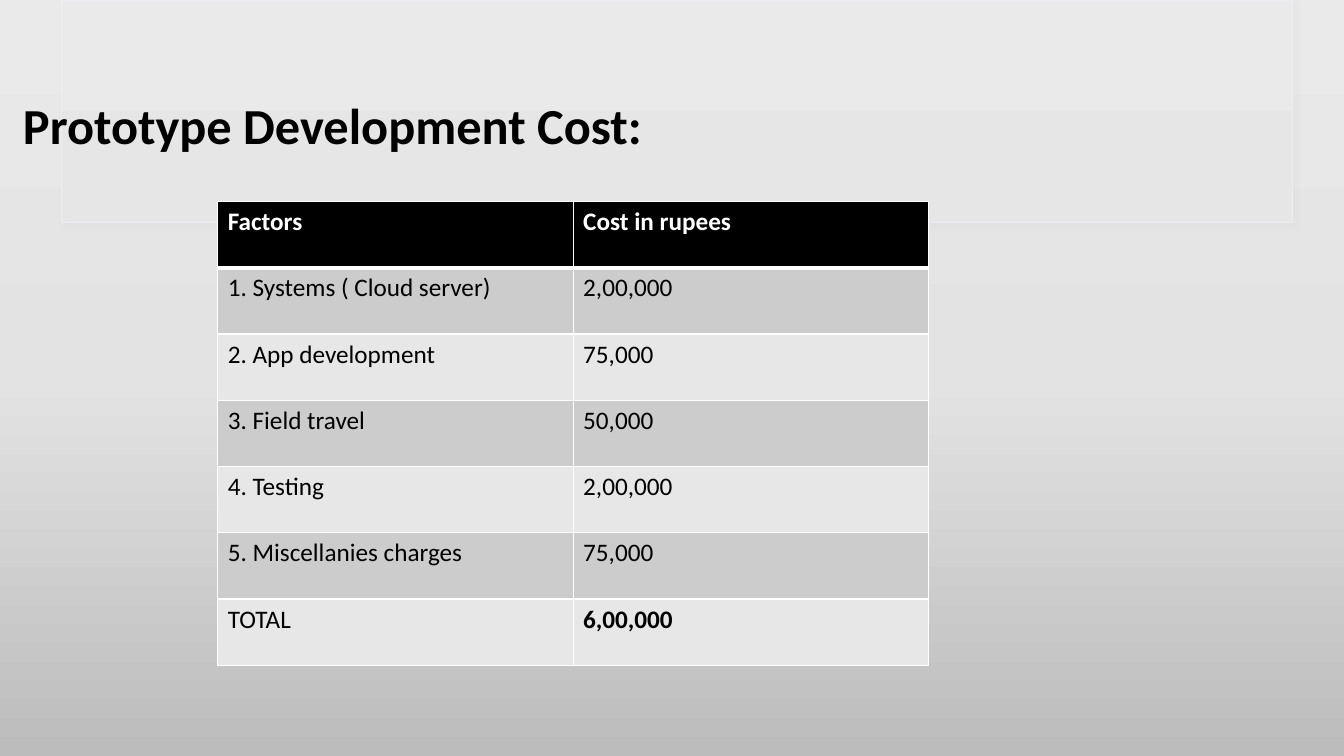
import pptx
import pptx.dml.color
import pptx.enum.shapes
import pptx.enum.text
import pptx.oxml
import pptx.oxml.ns
import pptx.util
from pptx.util import Inches

FONT = "Calibri"
COSTS = [
    ("Factors", "Cost in rupees"),
    ("1. Systems ( Cloud server)", "2,00,000"),
    ("2. App development", "75,000"),
    ("3. Field travel", "50,000"),
    ("4. Testing", "2,00,000"),
    ("5. Miscellanies charges", "75,000"),
    ("TOTAL", "6,00,000"),
]


def color(value):
    """Return an RGB colour from a hex string."""
    return pptx.dml.color.RGBColor.from_string(value)


def xml(body):
    """Parse a DrawingML fragment whose root tag lacks its namespace."""
    tag, rest = body.split(" ", 1)
    return pptx.oxml.parse_xml(f"{tag} {pptx.oxml.ns.nsdecls('a')} {rest}")


def set_gradient(fill, element, stops):
    """Fill from top to bottom with (percent, colour) stops."""
    fill.gradient()
    fill.gradient_angle = 270
    stop_list = next(element.iter(pptx.oxml.ns.qn("a:gsLst")))
    for stop in list(stop_list):
        stop_list.remove(stop)
    for percent, value in stops:
        stop_list.append(xml(f'<a:gs pos="{percent * 1000}"><a:srgbClr val="{value}"/></a:gs>'))


def style_text(paragraph, size, value, bold):
    """Set the font of every run in a paragraph."""
    for run in paragraph.runs:
        run.font.name = FONT
        run.font.size = pptx.util.Pt(size)
        run.font.bold = bold
        run.font.color.rgb = color(value)


def add_header_panel(slide):
    """Add the faint outlined panel behind the title."""
    panel = slide.shapes.add_shape(
        pptx.enum.shapes.MSO_SHAPE.RECTANGLE, Inches(0.61), 0, Inches(12.21), Inches(2.21))
    set_gradient(panel.fill, panel.element, [(0, "EBEAEA"), (100, "E7E6E6")])
    panel.line.color.rgb = color("EBEEF2")
    panel.line.width = pptx.util.Pt(0.75)
    panel.shadow.inherit = False
    effects = next(panel.element.iter(pptx.oxml.ns.qn("a:effectLst")))
    effects.append(xml(
        '<a:outerShdw blurRad="50800" dist="38100" dir="2700000" algn="tl">'
        '<a:srgbClr val="D9D9D9"><a:alpha val="30000"/></a:srgbClr></a:outerShdw>'))


def add_title(slide, text):
    """Add the bold slide title."""
    title = slide.shapes.add_textbox(Inches(0.13), Inches(0.55), Inches(11.5), Inches(1.45))
    frame = title.text_frame
    frame.word_wrap = True
    frame.vertical_anchor = pptx.enum.text.MSO_ANCHOR.MIDDLE
    frame.text = text
    frame.paragraphs[0].line_spacing = 0.9
    style_text(frame.paragraphs[0], 36, "000000", True)


def set_borders(cell, row):
    """Draw white cell borders, thicker below the header row."""
    widths = {"L": 1, "R": 1, "T": 3 if row == 1 else 1, "B": 3 if row == 0 else 1}
    properties = cell._tc.get_or_add_tcPr()
    for position, (side, width) in enumerate(widths.items()):
        properties.insert(position, xml(
            f'<a:ln{side} w="{width * 12700}"><a:solidFill><a:srgbClr val="FFFFFF"/>'
            f'</a:solidFill></a:ln{side}>'))


def add_cost_table(slide, costs):
    """Add the banded cost table with a black header."""
    table = slide.shapes.add_table(
        len(costs), 2, Inches(2.16), Inches(2), Inches(7.05), Inches(4.6)).table
    for row, entries in enumerate(costs):
        header = row == 0
        band = "000000" if header else ("CCCCCC" if row % 2 else "E7E7E7")
        for column, text in enumerate(entries):
            cell = table.cell(row, column)
            cell.text_frame.text = text
            total = row == len(costs) - 1 and column == 1
            style_text(cell.text_frame.paragraphs[0], 18,
                       "FFFFFF" if header else "000000", header or total)
            cell.fill.solid()
            cell.fill.fore_color.rgb = color(band)
            set_borders(cell, row)


def main():
    """Build and save the cost slide."""
    deck = pptx.Presentation()
    deck.slide_width, deck.slide_height = Inches(13.33), Inches(7.5)
    slide = deck.slides.add_slide(deck.slide_layouts[6])
    set_gradient(slide.background.fill, slide.element,
                 [(0, "EBEAEA"), (50, "E4E3E3"), (100, "BDBCBC")])
    add_header_panel(slide)
    add_title(slide, "Prototype Development Cost:")
    add_cost_table(slide, COSTS)
    deck.save("out.pptx")


if __name__ == "__main__":
    main()
